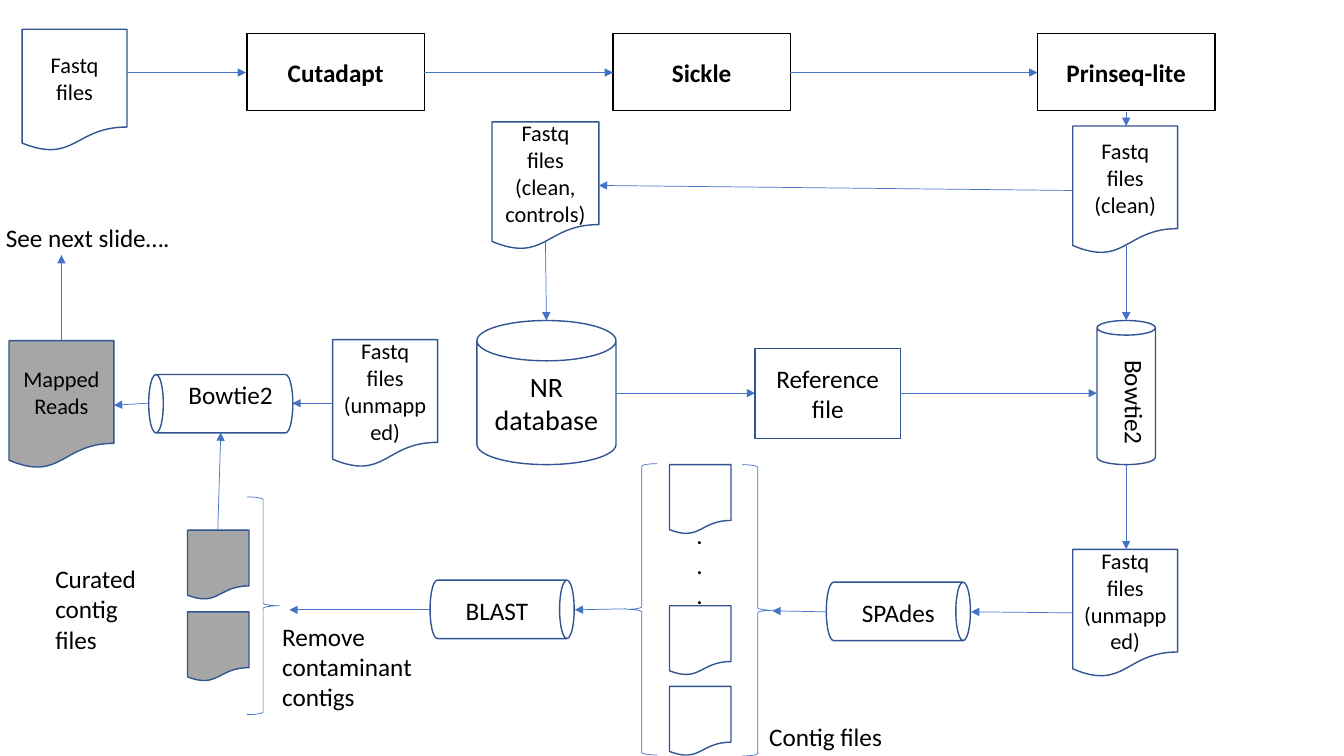
"""Builds the read-cleaning and contig-assembly workflow slide."""
from lxml import etree
from pptx import Presentation
from pptx.dml.color import RGBColor
from pptx.enum import shapes, text
from pptx.oxml.ns import qn
from pptx.util import Inches, Pt

BLACK, NAVY, BLUE, GREY = "000000", "325491", "4472C4", "A6A6A6"
KIND = shapes.MSO_SHAPE
FILE_SIZE = (1.04, 1.27)
CONTIG_SIZE = (0.61, 0.69)
CAN_SIZE = (0.58, 1.43)

TOOLS = [("Cutadapt", 2.45), ("Sickle", 6.08), ("Prinseq-lite", 10.29)]
FILES = [
    ("Fastq files", 0.22, 0.29, (1.04, 1.21), None),
    ("Fastq files (clean)", 10.64, 1.25, FILE_SIZE, None),
    ("Fastq files (clean, controls)", 4.88, 1.21, (1.06, 1.27), None),
    ("Fastq files (unmapped)", 10.64, 5.45, FILE_SIZE, None),
    ("Fastq files (unmapped)", 3.3, 3.37, FILE_SIZE, None),
    ("Mapped Reads", 0.09, 3.38, FILE_SIZE, GREY),
]
CONTIGS = [(6.64, 4.61, None), (6.64, 6.01, None), (6.64, 6.81, None),
           (1.86, 5.26, GREY), (1.86, 6.07, GREY)]
PROGRAM_CANS = [(10.88, 3.18, 0), (8.62, 5.35, 90), (4.69, 5.33, 90), (1.9, 3.29, 270)]
BRACES = [(KIND.RIGHT_BRACE, 7.36, 4.61, 0.31, 2.89),
          (KIND.LEFT_BRACE, 6.21, 4.6, 0.31, 2.89),
          (KIND.RIGHT_BRACE, 2.45, 4.93, 0.32, 2.16)]
LABELS = [
    ("Bowtie2", 10.73, 3.8, 1.05, 0.4, 90),
    ("SPAdes", 8.45, 5.88, 0.93, 0.4, 0),
    ("BLAST", 4.52, 5.86, 0.83, 0.4, 0),
    ("Bowtie2", 1.77, 3.71, 1.05, 0.4, 0),
    (".\n.\n.", 6.81, 5.1, 0.27, 1.01, 0),
    ("Contig files", 7.53, 7.11, 1.34, 0.4, 0),
    ("Remove \ncontaminant \ncontigs", 2.7, 6.11, 1.56, 1.01, 0),
    ("Curated \ncontig \nfiles", 0.45, 5.54, 1.07, 1.01, 0),
    ("See next slide….", -0.04, 2.16, 1.85, 0.4, 0),
]
ARROWS = [
    (1.26, 0.72, 2.44, 0.72), (4.21, 0.72, 6.08, 0.72), (7.84, 0.72, 10.29, 0.72),
    (11.17, 1.11, 11.17, 1.25), (10.64, 1.89, 5.94, 1.84), (5.41, 2.39, 5.42, 3.18),
    (6.11, 3.9, 7.49, 3.9), (8.93, 3.9, 10.88, 3.9), (11.17, 2.44, 11.17, 3.18),
    (11.17, 4.61, 11.17, 5.45), (10.64, 6.08, 9.63, 6.07), (8.2, 6.07, 7.66, 6.06),
    (6.21, 6.04, 5.7, 6.05), (4.26, 6.05, 2.87, 6.05), (2.16, 5.26, 2.19, 4.29),
    (3.3, 4, 2.9, 4), (1.47, 4, 1.13, 4.02), (0.61, 3.38, 0.61, 2.53),
]


def color(value):
    return RGBColor.from_string(value)


def write(box, words, size, bold=False, align=None):
    box.text_frame.text = words
    for para in box.text_frame.paragraphs:
        para.alignment = align
        for span in para.runs:
            span.font.name, span.font.size, span.font.bold = "Calibri", Pt(size), bold
            span.font.color.rgb = color(BLACK)


def add_box(page, kind, left, top, width, height, words="", size=16, fill=None,
            line=NAVY, weight=1, bold=False, rotation=0):
    box = page.shapes.add_shape(kind, *map(Inches, (left, top, width, height)))
    box.shadow.inherit = False
    box.rotation = rotation
    if fill:
        box.fill.solid()
        box.fill.fore_color.rgb = color(fill)
    else:
        box.fill.background()
    box.line.color.rgb = color(line)
    box.line.width = Pt(weight)
    if words:
        box.text_frame.word_wrap = True
        box.text_frame.vertical_anchor = text.MSO_ANCHOR.MIDDLE
        write(box, words, size, bold, text.PP_ALIGN.CENTER)
    return box


def add_label(page, words, left, top, width, height, rotation):
    box = page.shapes.add_textbox(*map(Inches, (left, top, width, height)))
    box.rotation = rotation
    box.text_frame.word_wrap = False
    box.text_frame.auto_size = text.MSO_AUTO_SIZE.SHAPE_TO_FIT_TEXT
    write(box, words, 18)


def add_arrow(page, *ends):
    arrow = page.shapes.add_connector(shapes.MSO_CONNECTOR.STRAIGHT, *map(Inches, ends))
    arrow.line.color.rgb = color(BLUE)
    arrow.line.width = Pt(0.5)
    etree.SubElement(arrow.line._get_or_add_ln(), qn("a:tailEnd"), type="triangle")
    etree.SubElement(arrow._element.spPr, qn("a:effectLst"))


deck = Presentation()
deck.slide_width, deck.slide_height = Inches(13.33), Inches(7.5)
page = deck.slides.add_slide(deck.slide_layouts[6])

for name, left in TOOLS:
    add_box(page, KIND.RECTANGLE, left, 0.33, 1.76, 0.77, name, 18, line=BLACK, bold=True)
for name, left, top, size, fill in FILES:
    add_box(page, KIND.FLOWCHART_DOCUMENT, left, top, *size, name, fill=fill)
for left, top, fill in CONTIGS:
    add_box(page, KIND.FLOWCHART_DOCUMENT, left, top, *CONTIG_SIZE, fill=fill)
database = add_box(page, KIND.CAN, 4.73, 3.18, 1.38, 1.43, "NR database", 20)
database.adjustments[0] = 0.29
add_box(page, KIND.RECTANGLE, 7.49, 3.46, 1.44, 0.89, "Reference file", 18)
for left, top, rotation in PROGRAM_CANS:
    add_box(page, KIND.CAN, left, top, *CAN_SIZE, rotation=rotation)
for brace in BRACES:
    add_box(page, *brace, line=BLUE, weight=0.5)
for label in LABELS:
    add_label(page, *label)
for ends in ARROWS:
    add_arrow(page, *ends)

deck.save("out.pptx")
